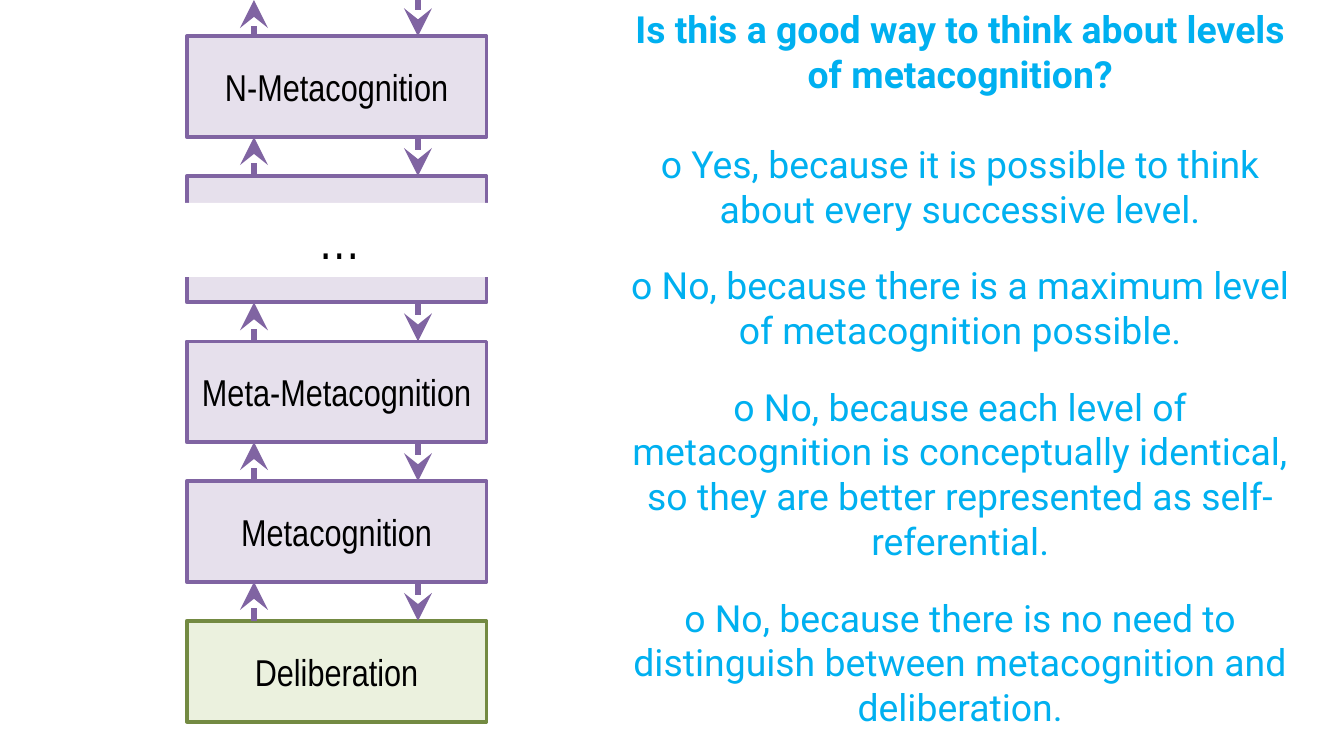
from lxml.etree import SubElement
from pptx import Presentation
from pptx.dml.color import RGBColor
from pptx.enum.shapes import MSO_CONNECTOR, MSO_SHAPE
from pptx.enum.text import MSO_ANCHOR as Anchor, PP_ALIGN as Align
from pptx.oxml.ns import qn
from pptx.util import Inches, Pt

PURPLE, LILAC = RGBColor(0x80, 0x64, 0xA2), RGBColor(0xE6, 0xE0, 0xEC)
GREEN, PALE_GREEN = RGBColor(0x73, 0x8A, 0x42), RGBColor(0xEB, 0xF1, 0xDE)
BLUE = RGBColor(0x00, 0xB0, 0xF0)
BLACK, WHITE = RGBColor(0, 0, 0), RGBColor(0xFF, 0xFF, 0xFF)

SLIDE_W = 10
SLIDE_H = SLIDE_W * 9 / 16
STACK_X, STACK_W = 1.39, 2.23
FIRST_TOP, GAP = 0.27, 0.29
UP_X, DOWN_X = 1.89, 3.11
LEVEL_H, SKIPPED_H = 0.75, 0.94

# Label, height, fill, outline; from the highest level down
LEVELS = [
    ("N-Metacognition", LEVEL_H, LILAC, PURPLE),
    ("", SKIPPED_H, LILAC, PURPLE),
    ("Meta-Metacognition", LEVEL_H, LILAC, PURPLE),
    ("Metacognition", LEVEL_H, LILAC, PURPLE),
    ("Deliberation", LEVEL_H, PALE_GREEN, GREEN),
]

QUESTION = "Is this a good way to think about levels of metacognition?"
ANSWERS = [
    "ο Yes, because it is possible to think about every successive level.",
    "ο No, because there is a maximum level of metacognition possible.",
    "ο No, because each level of metacognition is conceptually identical, "
    "so they are better represented as self-referential.",
    "ο No, because there is no need to distinguish between metacognition "
    "and deliberation.",
]


def write(paragraph, text, font="Arial Narrow", size=20, color=BLACK,
          bold=False, before=0):
    paragraph.alignment = Align.CENTER
    paragraph.space_before = Pt(before)
    run = paragraph.add_run()
    run.text = text
    run.font.name = font
    run.font.size = Pt(size)
    run.font.bold = bold
    run.font.color.rgb = color


def add_box(slide, left, top, width, height, fill, outline=None,
            anchor=Anchor.MIDDLE):
    """Add a rectangle and return its first paragraph."""
    box = slide.shapes.add_shape(MSO_SHAPE.RECTANGLE, Inches(left), Inches(top),
                                 Inches(width), Inches(height))
    box.shadow.inherit = False
    box.fill.solid()
    box.fill.fore_color.rgb = fill
    if outline is None:
        box.line.fill.background()
    else:
        box.line.color.rgb = outline
        box.line.width = Pt(2)
    box.text_frame.word_wrap = True
    box.text_frame.vertical_anchor = anchor
    return box.text_frame.paragraphs[0]


def add_arrow(slide, x, start, end):
    arrow = slide.shapes.add_connector(MSO_CONNECTOR.STRAIGHT, Inches(x),
                                       Inches(start), Inches(x), Inches(end))
    arrow.line.color.rgb = PURPLE
    arrow.line.width = Pt(3)
    properties = arrow.element.spPr
    SubElement(properties.find(qn("a:ln")), qn("a:tailEnd"),
               type="stealth", w="lg", len="lg")
    SubElement(properties, qn("a:effectLst"))


def add_levels(slide):
    """Stack the levels, with an upward and a downward arrow above each."""
    bottom, top = 0, FIRST_TOP
    for label, height, fill, outline in LEVELS:
        paragraph = add_box(slide, STACK_X, top, STACK_W, height, fill, outline)
        if label:
            write(paragraph, label)
        add_arrow(slide, UP_X, top, bottom)
        add_arrow(slide, DOWN_X, bottom, top)
        bottom = top + height
        top = bottom + GAP


def add_skipped_levels(slide):
    """Break the tall level with a white band that holds the ellipsis."""
    band = add_box(slide, 1.18, 1.51, 2.69, 0.55, WHITE, anchor=Anchor.BOTTOM)
    write(band, "…", size=28)


def add_question(slide):
    box = slide.shapes.add_textbox(Inches(4.5), 0, Inches(5.29), Inches(SLIDE_H))
    frame = box.text_frame
    frame.word_wrap = True
    write(frame.paragraphs[0], QUESTION, font="Roboto", color=BLUE, bold=True)
    for number, answer in enumerate(ANSWERS):
        write(frame.add_paragraph(), answer, font="Roboto", color=BLUE,
              before=17 if number else 24)


def main():
    deck = Presentation()
    deck.slide_width, deck.slide_height = Inches(SLIDE_W), Inches(SLIDE_H)
    slide = deck.slides.add_slide(deck.slide_layouts[6])
    add_levels(slide)
    add_question(slide)
    add_skipped_levels(slide)
    deck.save("out.pptx")


if __name__ == "__main__":
    main()
